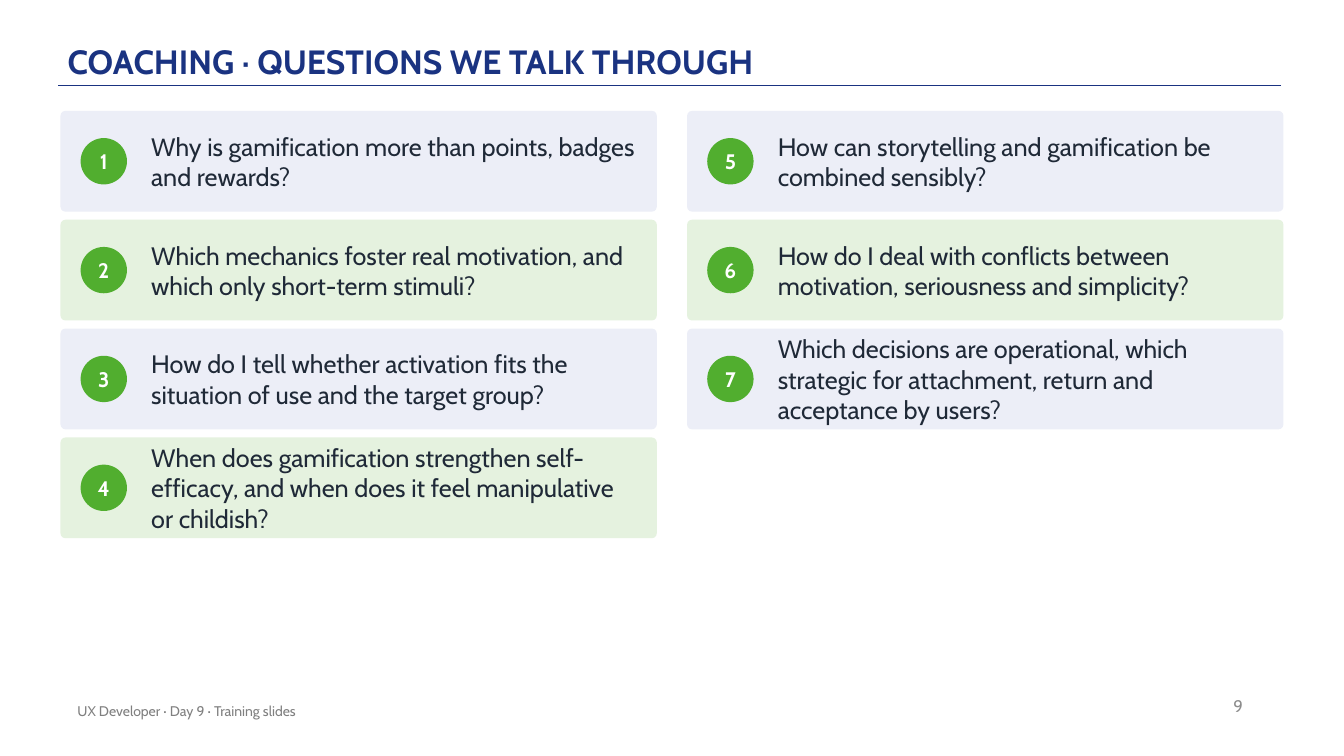
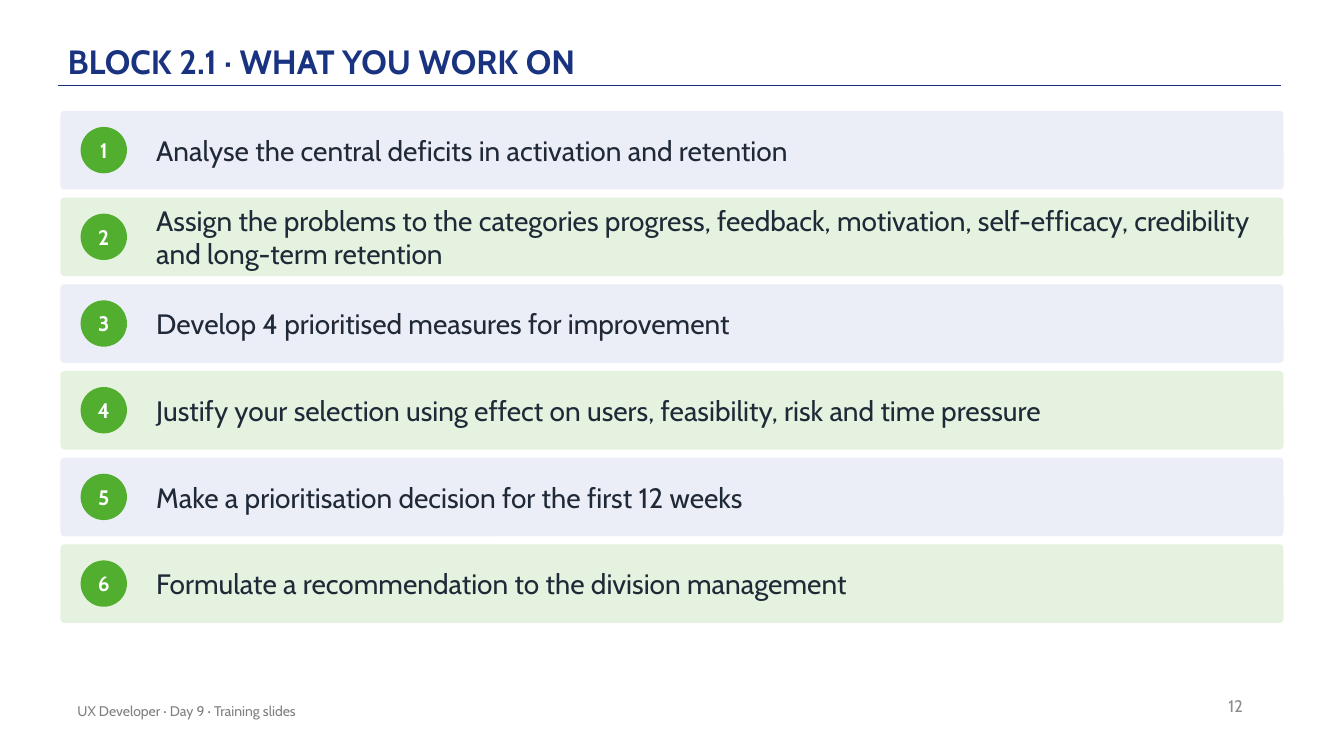
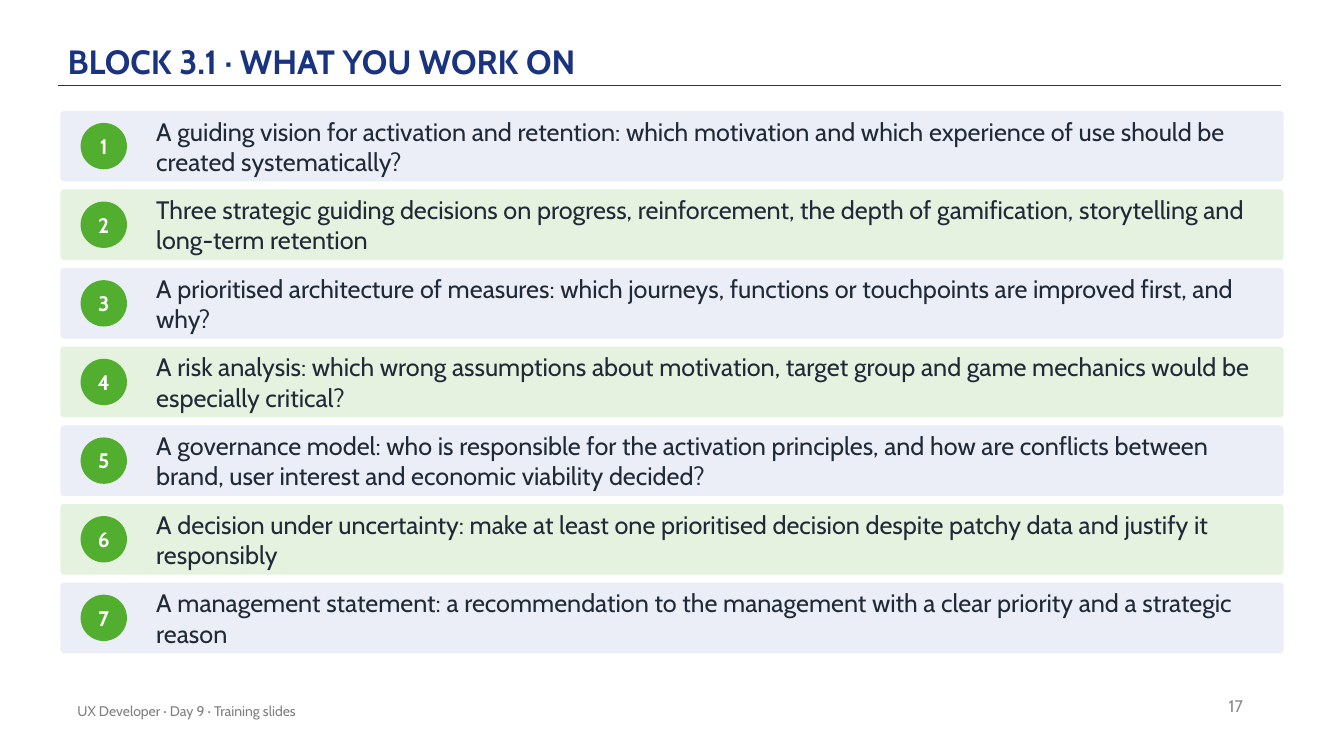
"""Build three training slides of numbered cards."""
from lxml.etree import SubElement
from pptx import Presentation
from pptx.dml.color import RGBColor
from pptx.enum.shapes import MSO_CONNECTOR, MSO_SHAPE
from pptx.enum.text import MSO_ANCHOR, MSO_AUTO_SIZE, PP_ALIGN
from pptx.oxml.ns import qn
from pptx.util import Pt

SLIDES = [
    {
        "title": "COACHING · QUESTIONS WE TALK THROUGH",
        "page": 9, "cols": 2, "rows": 4, "high": 72, "size": 18,
        "left": 64.8, "right": 14.4,
        "items": [
            "Why is gamification more than points, badges and rewards?",
            "Which mechanics foster real motivation, and which only short-term stimuli?",
            "How do I tell whether activation fits the situation of use and the target group?",
            "When does gamification strengthen self-efficacy, and when does it feel manipulative or childish?",
            "How can storytelling and gamification be combined sensibly?",
            "How do I deal with conflicts between motivation, seriousness and simplicity?",
            "Which decisions are operational, which strategic for attachment, return and acceptance by users?",
        ],
    },
    {
        "title": "BLOCK 2.1 · WHAT YOU WORK ON",
        "page": 12, "cols": 1, "rows": 6, "high": 56.16, "size": 20,
        "left": 68.4, "right": 18,
        "items": [
            "Analyse the central deficits in activation and retention",
            "Assign the problems to the categories progress, feedback, motivation, self-efficacy, credibility and long-term retention",
            "Develop 4 prioritised measures for improvement",
            "Justify your selection using effect on users, feasibility, risk and time pressure",
            "Make a prioritisation decision for the first 12 weeks",
            "Formulate a recommendation to the division management",
        ],
    },
    {
        "title": "BLOCK 3.1 · WHAT YOU WORK ON",
        "page": 17, "cols": 1, "rows": 7, "high": 50.4, "size": 18,
        "left": 68.4, "right": 18,
        "items": [
            "A guiding vision for activation and retention: which motivation and which experience of use should be created systematically?",
            "Three strategic guiding decisions on progress, reinforcement, the depth of gamification, storytelling and long-term retention",
            "A prioritised architecture of measures: which journeys, functions or touchpoints are improved first, and why?",
            "A risk analysis: which wrong assumptions about motivation, target group and game mechanics would be especially critical?",
            "A governance model: who is responsible for the activation principles, and how are conflicts between brand, user interest and economic viability decided?",
            "A decision under uncertainty: make at least one prioritised decision despite patchy data and justify it responsibly",
            "A management statement: a recommendation to the management with a clear priority and a strategic reason",
        ],
    },
]
FOOTER = "UX Developer · Day 9 · Training slides"
COLORS = {
    "navy": "1A3381", "green": "51AE2F", "ink": "1F2937", "white": "FFFFFF",
    "page": "8C8C8C", "foot": "808080", "blue": "ECEEF7", "mint": "E5F2DF",
}
STYLES = {
    "title": {"color": "navy", "size": 24, "bold": True, "pad": (0, 2.16),
              "anchor": MSO_ANCHOR.BOTTOM, "space": 0.9},
    "page": {"color": "page", "size": 12, "pad": (7.2, 3.6), "align": PP_ALIGN.RIGHT},
    "foot": {"color": "foot", "size": 10, "pad": (7.2, 3.6)},
    "badge": {"color": "white", "size": 15, "bold": True, "align": PP_ALIGN.CENTER},
    "item": {"color": "ink"},
}
LEFT, TOP, WIDTH = 43.2, 79.2, 873.6
GUTTER, GAP = 21.6, 5.76
INSET, DOT = 14.4, 33.12


def paint(name):
    return RGBColor.from_string(COLORS[name])


def write(shape, text, style, size=None):
    look = STYLES[style]
    side, edge = look.get("pad", (0, 0))
    frame = shape.text_frame
    frame.text = text
    para = frame.paragraphs[0]
    jobs = (
        (frame, {"word_wrap": True, "auto_size": MSO_AUTO_SIZE.NONE,
                 "vertical_anchor": look.get("anchor", MSO_ANCHOR.MIDDLE),
                 "margin_left": Pt(side), "margin_right": Pt(side),
                 "margin_top": Pt(edge), "margin_bottom": Pt(edge)}),
        (para, {"alignment": look.get("align", PP_ALIGN.LEFT),
                "line_spacing": look.get("space", 1.0)}),
        (para.runs[0].font, {"name": "Cabin", "size": Pt(size or look["size"]),
                             "bold": look.get("bold", False)}),
    )
    for target, values in jobs:
        for key, value in values.items():
            setattr(target, key, value)
    para.runs[0].font.color.rgb = paint(look["color"])


def label(slide, box, text, style, size=None):
    write(slide.shapes.add_textbox(*map(Pt, box)), text, style, size)


def solid(slide, kind, box, color):
    shape = slide.shapes.add_shape(kind, *map(Pt, box))
    shape.shadow.inherit = False
    shape.fill.solid()
    shape.fill.fore_color.rgb = paint(color)
    shape.line.fill.background()
    return shape


def frame_slide(slide, data):
    title = slide.shapes.title
    spots = {"left": 48.24, "top": 8.64, "width": 792, "height": 51.84}
    for key, value in spots.items():
        setattr(title, key, Pt(value))
    write(title, data["title"], "title")
    rule = slide.shapes.add_connector(
        MSO_CONNECTOR.STRAIGHT, *map(Pt, (915.12, 61.2, 41.76, 61.2)))
    rule.line.color.rgb = paint("navy")
    rule.line.width = Pt(1)
    SubElement(rule._element.spPr, qn("a:effectLst"))
    label(slide, (679, 489.6, 216, 28.8), str(data["page"]), "page")
    label(slide, (48.24, 493.2, 482.4, 28.8), FOOTER, "foot")


def add_cards(slide, data):
    cols, high = data["cols"], data["high"]
    wide = (WIDTH - GUTTER * (cols - 1)) / cols
    for index, text in enumerate(data["items"]):
        col, row = divmod(index, data["rows"])
        x = LEFT + col * (wide + GUTTER)
        y = TOP + row * (high + GAP)
        card = solid(slide, MSO_SHAPE.ROUNDED_RECTANGLE, (x, y, wide, high),
                     ("blue", "mint")[row % 2])
        card.adjustments[0] = 0.05
        badge = solid(slide, MSO_SHAPE.OVAL,
                      (x + INSET, y + (high - DOT) / 2, DOT, DOT), "green")
        write(badge, str(index + 1), "badge")
        span = wide - data["left"] - data["right"]
        label(slide, (x + data["left"], y, span, high), text, "item", data["size"])


def main():
    deck = Presentation()
    deck.slide_width, deck.slide_height = Pt(960), Pt(540)
    for data in SLIDES:
        slide = deck.slides.add_slide(deck.slide_layouts[5])
        frame_slide(slide, data)
        add_cards(slide, data)
    deck.save("out.pptx")


if __name__ == "__main__":
    main()
